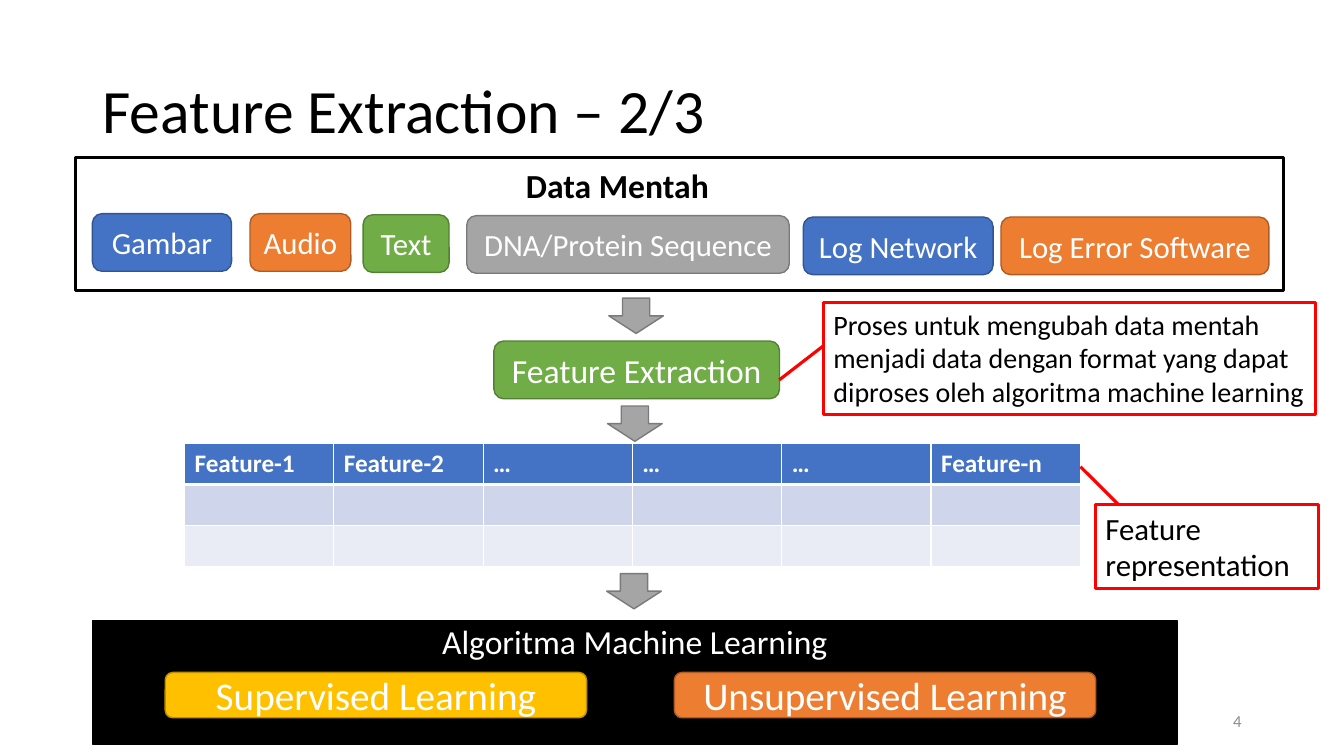
from lxml.etree import SubElement
from pptx import Presentation
from pptx.dml.color import RGBColor
from pptx.enum.shapes import MSO_CONNECTOR, MSO_SHAPE
from pptx.enum.text import MSO_ANCHOR, PP_ALIGN
from pptx.oxml import parse_xml
from pptx.oxml.ns import nsdecls, qn
from pptx.util import Pt

COLORS = {
    "black": "000000", "white": "FFFFFF", "red": "FF0000", "number": "8C8C8C",
    "blue": "4472C4", "blue_edge": "325491",
    "orange": "ED7D31", "orange_edge": "AF5C24",
    "green": "70AD47", "green_edge": "538035",
    "gray": "A5A5A5", "gray_edge": "7A7A7A",
    "gold": "FFC000", "gold_edge": "BD8E00",
    "band_dark": "CFD5EA", "band_light": "E9EBF5",
}


class SlideBuilder:
    font = "Calibri"

    def __init__(self, slide):
        self.slide = slide

    def color(self, name):
        return RGBColor.from_string(COLORS[name])

    def set_text(self, frame, text, size, color="black", align=PP_ALIGN.LEFT,
                 anchor=MSO_ANCHOR.MIDDLE, bold=False, wrap=True):
        frame.text = text
        frame.word_wrap = wrap
        frame.vertical_anchor = anchor
        for paragraph in frame.paragraphs:
            paragraph.alignment = align
            for run in paragraph.runs:
                run.font.name = self.font
                run.font.size = Pt(size)
                run.font.bold = bold
                run.font.color.rgb = self.color(color)

    def title(self, text, left, top, width, height):
        title = self.slide.shapes.title
        title.left, title.top = Pt(left), Pt(top)
        title.width, title.height = Pt(width), Pt(height)
        self.set_text(title.text_frame, text, 44)
        title.text_frame.paragraphs[0].line_spacing = 0.9

    def label(self, text, left, top, width, height, size, **style):
        box = self.slide.shapes.add_textbox(Pt(left), Pt(top), Pt(width), Pt(height))
        self.set_text(box.text_frame, text, size, **style)

    def shape(self, kind, left, top, width, height, fill, edge, weight=1):
        shape = self.slide.shapes.add_shape(kind, Pt(left), Pt(top), Pt(width), Pt(height))
        shape.shadow.inherit = False
        if fill:
            shape.fill.solid()
            shape.fill.fore_color.rgb = self.color(fill)
        else:
            shape.fill.background()
        shape.line.color.rgb = self.color(edge)
        shape.line.width = Pt(weight)
        return shape

    def block(self, text, left, top, width, height, color, size):
        block = self.shape(MSO_SHAPE.ROUNDED_RECTANGLE, left, top, width, height,
                           color, color + "_edge")
        frame = block.text_frame
        frame.margin_left = frame.margin_right = Pt(3)
        self.set_text(frame, text, size, "white", PP_ALIGN.CENTER)

    def down_arrow(self, left, top):
        self.shape(MSO_SHAPE.DOWN_ARROW, left, top, 39, 25.2, "gray", "gray_edge")

    def callout(self, text, left, top, width, height, size, start, end):
        leader = self.slide.shapes.add_connector(
            MSO_CONNECTOR.STRAIGHT, *(Pt(value) for value in start + end))
        leader.line.color.rgb = self.color("red")
        leader.line.width = Pt(2.25)
        SubElement(leader._element.spPr, qn("a:effectLst"))
        note = self.shape(MSO_SHAPE.RECTANGLE, left, top, width, height, None, "red", 2.25)
        self.set_text(note.text_frame, text, size, anchor=MSO_ANCHOR.TOP)

    def cell_borders(self, cell, bottom):
        properties = cell._tc.get_or_add_tcPr()
        for index, (side, weight) in enumerate(
                (("L", 1), ("R", 1), ("T", 1), ("B", bottom))):
            properties.insert(index, parse_xml(
                f'<a:ln{side} {nsdecls("a")} w="{Pt(weight)}"><a:solidFill>'
                f'<a:srgbClr val="{COLORS["white"]}"/></a:solidFill></a:ln{side}>'))

    def table(self, headers, band_fills, left, top, width, row_height):
        fills = ["blue"] + band_fills
        table = self.slide.shapes.add_table(
            len(fills), len(headers), Pt(left), Pt(top), Pt(width),
            Pt(row_height * len(fills))).table
        for row_index, fill in enumerate(fills):
            for column, header in enumerate(headers):
                cell = table.cell(row_index, column)
                cell.fill.solid()
                cell.fill.fore_color.rgb = self.color(fill)
                self.cell_borders(cell, 1 if row_index else 3)
                if row_index == 0:
                    self.set_text(cell.text_frame, header, 18, "white",
                                  anchor=MSO_ANCHOR.TOP, bold=True)


presentation = Presentation()
presentation.slide_width, presentation.slide_height = Pt(960), Pt(540)
builder = SlideBuilder(presentation.slides.add_slide(presentation.slide_layouts[5]))

builder.title("Feature Extraction – 2/3", 66, 28.8, 828, 104.4)

algorithms = builder.shape(MSO_SHAPE.RECTANGLE, 66, 443.5, 775, 88, "black", "black")
algorithms.text_frame.margin_top = 0
builder.set_text(algorithms.text_frame, "Algoritma Machine Learning", 24, "white",
                 PP_ALIGN.CENTER, MSO_ANCHOR.TOP)
builder.block("Supervised Learning", 118, 480.3, 301, 32.4, "gold", 28)
builder.block("Unsupervised Learning", 481.7, 480.3, 301, 32.4, "orange", 28)

builder.table(["Feature-1", "Feature-2", "…", "…", "…", "Feature-n"],
              ["band_dark", "band_light"], 131.8, 316.8, 640, 28.8)

for arrow_left, arrow_top in ((434.9, 213), (434, 290), (433.4, 409.7)):
    builder.down_arrow(arrow_left, arrow_top)

builder.block("Feature Extraction", 352.8, 243.6, 204, 41.2, "green", 24)
builder.callout("Proses untuk mengubah data mentah menjadi data dengan format "
                "yang dapat diproses oleh algoritma machine learning",
                588.2, 216, 351.4, 80, 20, (556.6, 271.4), (588.2, 247))
builder.callout("Feature\nrepresentation", 782.6, 360.2, 159.2, 60.4, 22,
                (771.8, 333.4), (799.2, 360.7))
builder.label("4", 678, 500.4, 216, 28.8, 12, color="number", align=PP_ALIGN.RIGHT)

raw_data = (
    ("Gambar", 66, 152.6, 99.4, "blue"),
    ("Audio", 178.6, 152.6, 72, "orange"),
    ("Text", 259.4, 153.4, 61.4, "green"),
    ("DNA/Protein Sequence", 333.4, 154, 230.4, "gray"),
    ("Log Network", 573.8, 155, 135.6, "blue"),
    ("Log Error Software", 715, 155, 191.4, "orange"),
)
for source, source_left, source_top, source_width, source_color in raw_data:
    builder.block(source, source_left, source_top, source_width, 41.2, source_color, 22)
builder.label("Data Mentah", 368.6, 114.5, 147, 36, 24, anchor=MSO_ANCHOR.TOP,
              bold=True, wrap=False)
builder.shape(MSO_SHAPE.RECTANGLE, 54, 112.3, 862.6, 95, None, "black", 2.25)

presentation.save("out.pptx")
